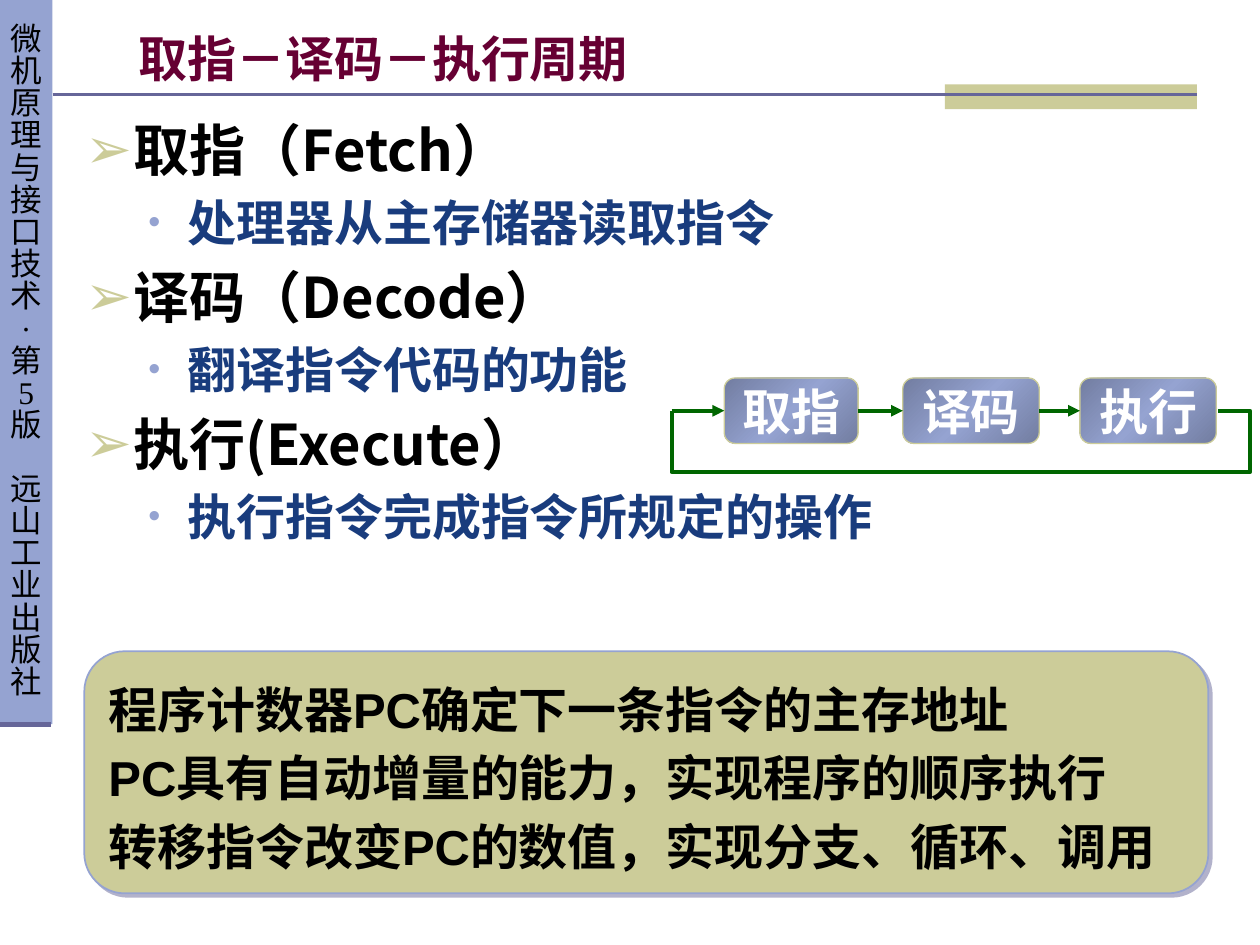
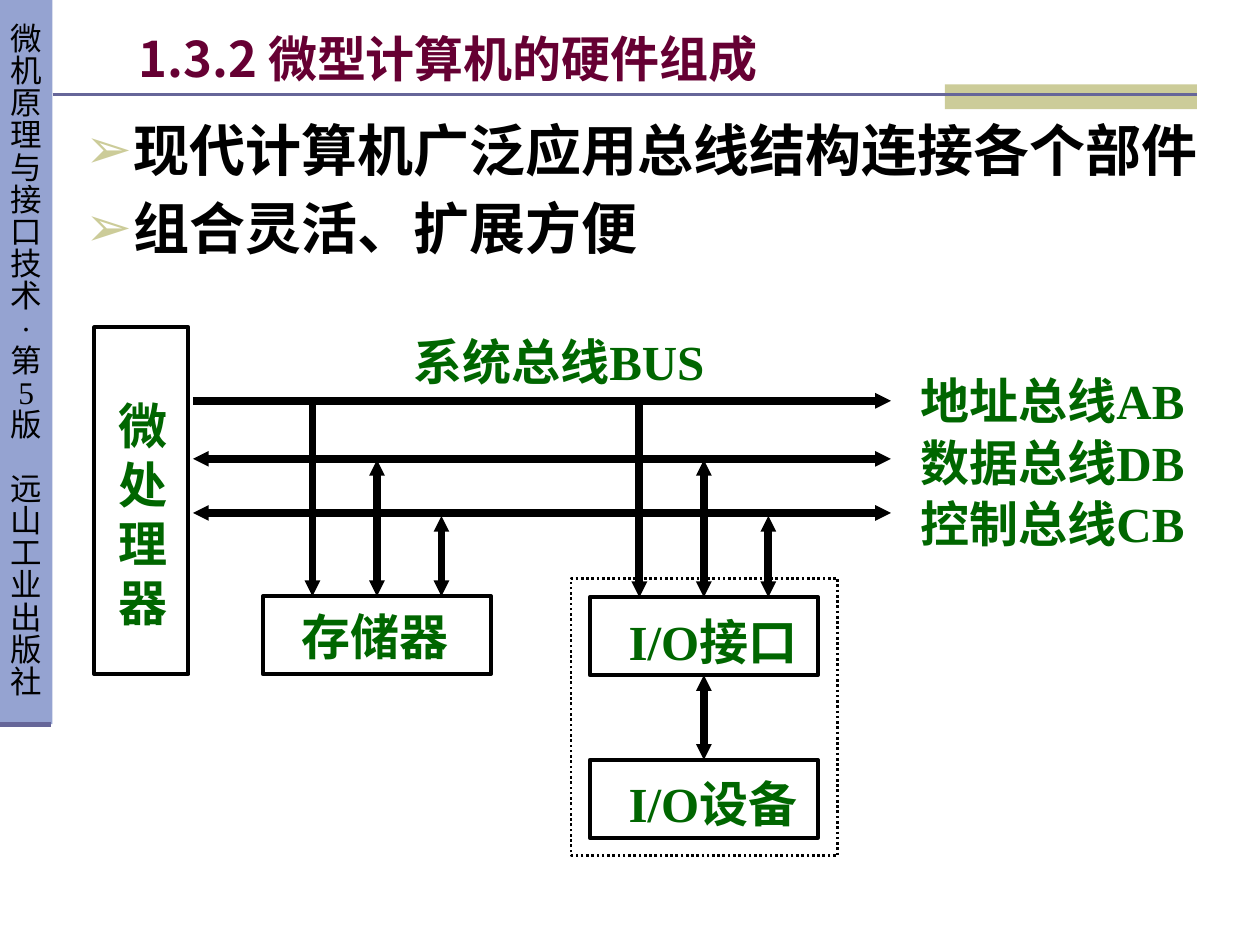
from lxml.etree import SubElement
from pptx import Presentation
from pptx.dml.color import RGBColor
from pptx.enum.dml import MSO_LINE
from pptx.enum.lang import MSO_LANGUAGE_ID
from pptx.enum.shapes import MSO_CONNECTOR, MSO_SHAPE
from pptx.enum.text import MSO_ANCHOR, MSO_AUTO_SIZE, PP_ALIGN
from pptx.oxml import parse_xml
from pptx.oxml.ns import nsdecls, qn
from pptx.util import Cm, Pt

BLACK = RGBColor(0x00, 0x00, 0x00)
WHITE = RGBColor(0xFF, 0xFF, 0xFF)
PERIWINKLE = RGBColor(0x95, 0xA3, 0xD1)
KHAKI = RGBColor(0xCC, 0xCC, 0x99)
SLATE = RGBColor(0x66, 0x66, 0x99)
MAROON = RGBColor(0x66, 0x00, 0x33)
NAVY = RGBColor(0x19, 0x3C, 0x7D)
GREEN = RGBColor(0x00, 0x66, 0x00)
SANS, ARIAL, SERIF = "Noto Sans CJK SC", "Arial", "Times New Roman"
LINE_HEIGHT = 1.2


def add_paragraph(frame, text, size, font_name, color, alignment, bold=True, line_height=LINE_HEIGHT):
    first = not frame.paragraphs[0].runs
    paragraph = frame.paragraphs[0] if first else frame.add_paragraph()
    paragraph.alignment = alignment
    paragraph.line_spacing = Pt(round(size * line_height, 1))
    if not first:
        paragraph.space_before = Pt(round(size * 0.2, 1))
    run = paragraph.add_run()
    run.text = text
    font = run.font
    font.size, font.bold, font.name = Pt(size), bold, font_name
    font.color.rgb = color
    font.language_id = MSO_LANGUAGE_ID.SIMPLIFIED_CHINESE
    SubElement(font._element, qn("a:ea")).set("typeface", SANS)
    return paragraph


def add_line(slide, start, end, color, width, heads=(), head_size="med"):
    line = slide.shapes.add_connector(
        MSO_CONNECTOR.STRAIGHT, Cm(start[0]), Cm(start[1]), Cm(end[0]), Cm(end[1])
    )
    line.line.color.rgb = color
    line.line.width = Pt(width)
    for tag in heads:
        head = SubElement(line.line._get_or_add_ln(), qn(f"a:{tag}"))
        for key, value in (("type", "triangle"), ("w", head_size), ("len", head_size)):
            head.set(key, value)
    SubElement(line._element.spPr, qn("a:effectLst"))
    return line


presentation = Presentation()
presentation.slide_width, presentation.slide_height = Cm(25.4), Cm(19.05)

BULLETS = {
    0: dict(size=32, color=BLACK, mark="➢", mark_color=KHAKI, percent=100, left=0.97, hang=0.97),
    1: dict(size=28, color=NAVY, mark="•", mark_color=PERIWINKLE, percent=70, left=2.06, hang=0.79),
}
CONTENT = [
    ("取指－译码－执行周期", 15.67, [
        (0, "取指（Fetch）"),
        (1, "处理器从主存储器读取指令"),
        (0, "译码（Decode）"),
        (1, "翻译指令代码的功能"),
        (0, "执行(Execute）"),
        (1, "执行指令完成指令所规定的操作"),
    ]),
    ("1.3.2 微型计算机的硬件组成", 3.38, [
        (0, "现代计算机广泛应用总线结构连接各个部件"),
        (0, "组合灵活、扩展方便"),
    ]),
]
SIDEBAR_PARTS = ("微机原理与接口技术·第5版", "远山工业出版社")

slides = []
for title_text, body_height, items in CONTENT:
    slide = presentation.slides.add_slide(presentation.slide_layouts[5])
    slides.append(slide)

    for left, top, width, height, color in (
        (0, 0, 1.06, 14.6, PERIWINKLE),
        (19.05, 1.7, 5.08, 0.5, KHAKI),
    ):
        band = slide.shapes.add_shape(MSO_SHAPE.RECTANGLE, Cm(left), Cm(top), Cm(width), Cm(height))
        band.shadow.inherit = False
        band.fill.solid()
        band.fill.fore_color.rgb = color
        band.line.fill.background()
        if color == PERIWINKLE:
            frame = band.text_frame
            frame.word_wrap = False
            frame.vertical_anchor = MSO_ANCHOR.MIDDLE
            for part_number, part in enumerate(SIDEBAR_PARTS):
                for position, character in enumerate(part):
                    paragraph = add_paragraph(
                        frame, character, 18, SERIF, BLACK, PP_ALIGN.CENTER, False, 1.02
                    )
                    paragraph.space_before = Pt(18 if part_number and not position else 0)
    add_line(slide, (1.06, 1.9), (24.13, 1.9), SLATE, 1.5)
    add_line(slide, (0, 14.6), (1.02, 14.6), SLATE, 3)

    title = slide.shapes.title
    title.left, title.top, title.width, title.height = Cm(2.54), Cm(0.18), Cm(21.59), Cm(1.78)
    frame = title.text_frame
    frame.auto_size = MSO_AUTO_SIZE.NONE
    frame.vertical_anchor = MSO_ANCHOR.MIDDLE
    frame.margin_top, frame.margin_bottom = Cm(0.2), 0
    add_paragraph(frame, title_text, 28, SANS, MAROON, PP_ALIGN.LEFT)

    body = slide.shapes.add_textbox(Cm(1.47), Cm(2.2), Cm(23.06), Cm(body_height))
    frame = body.text_frame
    frame.word_wrap = True
    for level, text in items:
        style = BULLETS[level]
        paragraph = add_paragraph(frame, text, style["size"], SANS, style["color"], PP_ALIGN.JUSTIFY)
        paragraph.level = level
        properties = paragraph._p.get_or_add_pPr()
        properties.set("marL", str(Cm(style["left"])))
        properties.set("indent", str(-Cm(style["hang"])))
        bullet_color = SubElement(properties, qn("a:buClr"))
        SubElement(bullet_color, qn("a:srgbClr")).set("val", str(style["mark_color"]))
        SubElement(properties, qn("a:buSzPct")).set("val", str(style["percent"] * 1000))
        SubElement(properties, qn("a:buFont")).set("typeface", ARIAL)
        SubElement(properties, qn("a:buChar")).set("char", style["mark"])

cycle_slide, bus_slide = slides

summary = cycle_slide.shapes.add_shape(
    MSO_SHAPE.ROUNDED_RECTANGLE, Cm(1.7), Cm(13.13), Cm(22.66), Cm(4.88)
)
summary.adjustments[0] = 0.167
summary.fill.solid()
summary.fill.fore_color.rgb = KHAKI
summary.line.color.rgb = PERIWINKLE
summary.line.width = Pt(1)
summary._element.spPr.append(parse_xml(
    f'<a:effectLst {nsdecls("a")}><a:outerShdw dist="35560" dir="2700000" algn="ctr" rotWithShape="0">'
    f'<a:srgbClr val="{SLATE}"><a:alpha val="50000"/></a:srgbClr></a:outerShdw></a:effectLst>'
))
frame = summary.text_frame
frame.word_wrap = True
frame.vertical_anchor = MSO_ANCHOR.MIDDLE
frame.margin_top, frame.margin_bottom = Cm(0.2), 0
for text in (
    "程序计数器PC确定下一条指令的主存地址",
    "PC具有自动增量的能力，实现程序的顺序执行",
    "转移指令改变PC的数值，实现分支、循环、调用",
):
    add_paragraph(frame, text, 28, ARIAL, BLACK, PP_ALIGN.JUSTIFY)

STAGE_TOP, STAGE_HEIGHT = 7.62, 1.32
stage_middle = STAGE_TOP + STAGE_HEIGHT / 2
LOOP_LEFT, LOOP_RIGHT, LOOP_BOTTOM = 13.54, 25.2, 9.52
previous_stage = None
for text, left, width in (("取指", 14.6, 2.7), ("译码", 18.2, 2.75), ("执行", 21.77, 2.75)):
    stage = cycle_slide.shapes.add_shape(
        MSO_SHAPE.FLOWCHART_ALTERNATE_PROCESS, Cm(left), Cm(STAGE_TOP), Cm(width), Cm(STAGE_HEIGHT)
    )
    stage.shadow.inherit = False
    stage.line.color.rgb = KHAKI
    stage.line.width = Pt(0.75)
    stage._element.spPr.insert(2, parse_xml(
        f'<a:gradFill rotWithShape="1" {nsdecls("a")}><a:gsLst>'
        '<a:gs pos="0"><a:srgbClr val="727DA1"/></a:gs>'
        f'<a:gs pos="50000"><a:srgbClr val="{PERIWINKLE}"/></a:gs>'
        '<a:gs pos="100000"><a:srgbClr val="727DA1"/></a:gs>'
        '</a:gsLst><a:lin ang="2700000" scaled="1"/></a:gradFill>'
    ))
    frame = stage.text_frame
    frame.vertical_anchor = MSO_ANCHOR.MIDDLE
    frame.margin_top = frame.margin_bottom = 0
    add_paragraph(frame, text, 28, ARIAL, WHITE, PP_ALIGN.CENTER)
    arrow = add_line(
        cycle_slide, (LOOP_LEFT, stage_middle), (left, stage_middle), GREEN, 2.25, ["tailEnd"]
    )
    if previous_stage:
        arrow.begin_connect(previous_stage, 3)
    arrow.end_connect(stage, 1)
    previous_stage = stage

builder = cycle_slide.shapes.build_freeform(Cm(24.56), Cm(stage_middle))
builder.add_line_segments([
    (Cm(LOOP_RIGHT), Cm(stage_middle)),
    (Cm(LOOP_RIGHT), Cm(LOOP_BOTTOM)),
    (Cm(LOOP_LEFT), Cm(LOOP_BOTTOM)),
    (Cm(LOOP_LEFT), Cm(stage_middle)),
], close=False)
return_loop = builder.convert_to_shape()
return_loop.shadow.inherit = False
return_loop.fill.background()
return_loop.line.color.rgb = GREEN
return_loop.line.width = Pt(2.25)

for text, left, top, width, height in (
    ("地址总线AB", 17.93, 7.34, 6.58, 1.4),
    ("数据总线DB", 17.93, 8.59, 6.58, 1.4),
    ("控制总线CB", 17.93, 9.83, 6.58, 1.4),
    ("微处理器", 1.96, 7.85, 1.83, 6.78),
    ("存储器", 5.61, 12.09, 3.91, 1.4),
    ("I/O接口", 12.4, 12.19, 3.94, 1.4),
    ("I/O设备", 12.4, 15.47, 3.94, 1.4),
    ("系统总线BUS", 7.7, 6.55, 7.14, 1.4),
):
    label = bus_slide.shapes.add_textbox(Cm(left), Cm(top), Cm(width), Cm(height))
    frame = label.text_frame
    frame.word_wrap = True
    frame.margin_left = frame.margin_right = frame.margin_bottom = Cm(0.03)
    frame.margin_top = Cm(0.13)
    add_paragraph(frame, text, 28, SERIF, GREEN, PP_ALIGN.CENTER)

blocks = {}
for name, left, top, width, height in (
    ("input_output", 11.51, 11.66, 5.38, 5.59),
    ("processor", 1.9, 6.6, 1.9, 6.99),
    ("memory", 5.3, 12.02, 4.6, 1.57),
    ("interface", 11.89, 12.04, 4.6, 1.57),
    ("device", 11.89, 15.32, 4.6, 1.57),
):
    block = bus_slide.shapes.add_shape(MSO_SHAPE.RECTANGLE, Cm(left), Cm(top), Cm(width), Cm(height))
    block.shadow.inherit = False
    block.fill.background()
    block.line.color.rgb = BLACK
    block.line.width = Pt(2.25)
    blocks[name] = block
blocks["input_output"].line.width = Pt(1.5)
blocks["input_output"].line.dash_style = MSO_LINE.ROUND_DOT

BOTH_HEADS = ["headEnd", "tailEnd"]
BUSES = [(8.08, 8.03, ["tailEnd"]), (9.25, 9.27, BOTH_HEADS), (10.34, 10.4, BOTH_HEADS)]
TAP_GAP = 1.3
for bus_y, tap_top, heads in BUSES:
    add_line(bus_slide, (3.89, bus_y), (17.96, bus_y), BLACK, 4.5, heads, "sm")
for name in ("memory", "interface"):
    block = blocks[name]
    center = (block.left + block.width / 2) / Cm(1)
    for column, (bus_y, tap_top, heads) in enumerate(BUSES, -1):
        x = center + column * TAP_GAP
        tap = add_line(bus_slide, (x, tap_top), (x, block.top / Cm(1)), BLACK, 4.5, heads, "sm")
        if column == 0:
            tap.end_connect(block, 0)

link = add_line(bus_slide, (14.19, 13.61), (14.19, 15.32), BLACK, 4.5, BOTH_HEADS, "sm")
link.begin_connect(blocks["interface"], 2)
link.end_connect(blocks["device"], 0)

presentation.save("out.pptx")
